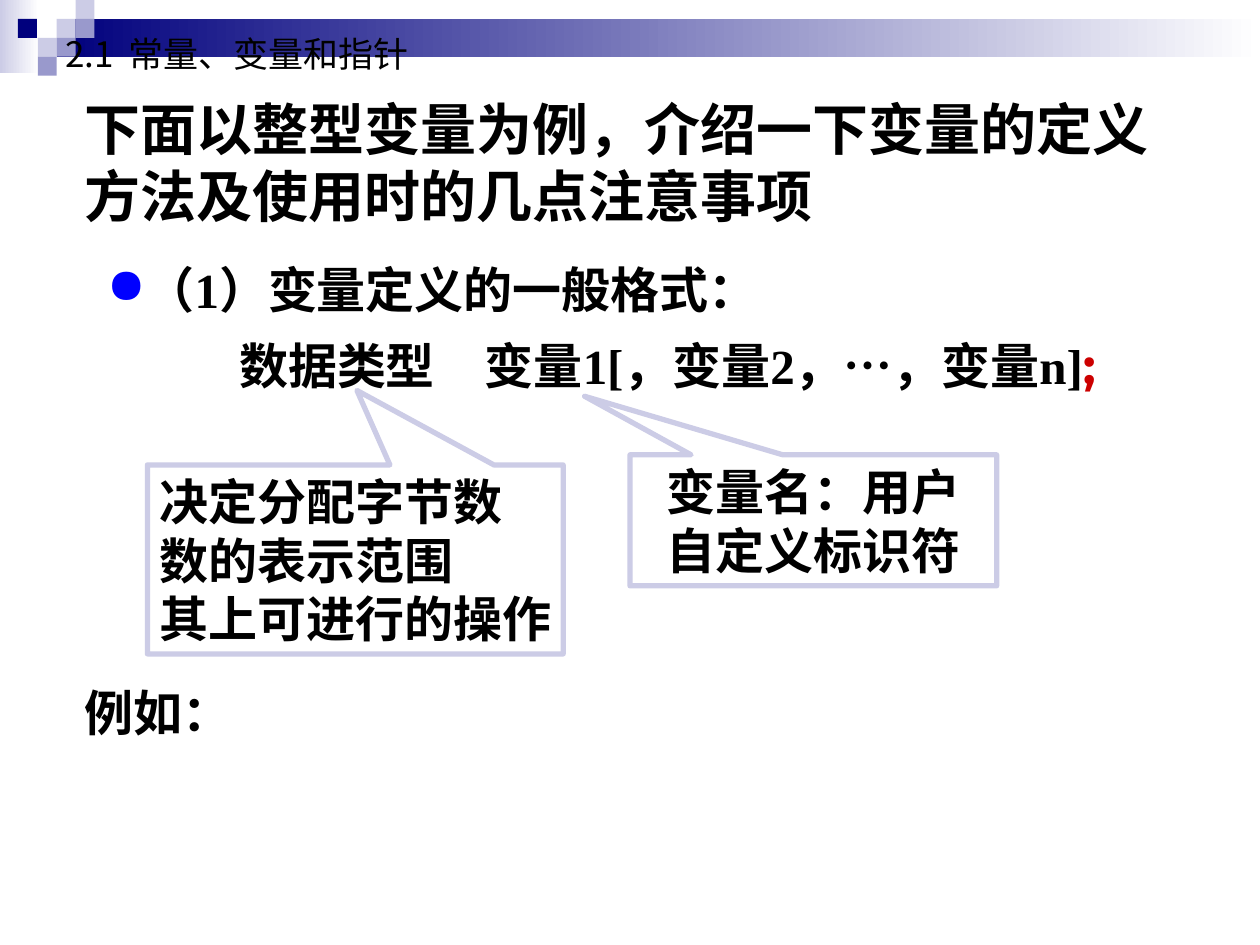
from lxml import etree
from pptx import Presentation
from pptx.dml.color import RGBColor
from pptx.enum.shapes import MSO_SHAPE
from pptx.enum.text import MSO_ANCHOR, PP_ALIGN
from pptx.oxml.ns import qn
from pptx.util import Inches, Pt

RECT = MSO_SHAPE.RECTANGLE
CALLOUT = MSO_SHAPE.RECTANGULAR_CALLOUT
MIDDLE = MSO_ANCHOR.MIDDLE
LEFT, CENTER = PP_ALIGN.LEFT, PP_ALIGN.CENTER
SANS, SERIF, ROMAN, ACCENT = "Noto Sans CJK SC", "Times New Roman", "Arial", "Montserrat"
BLACK, WHITE, NAVY, PALE, MID = "000000", "FFFFFF", "00007D", "CCCCE6", "9999CC"
BLUE, RED = "0000FF", "CC0000"


def color(code):
    return RGBColor.from_string(code)


class Deck:
    def __init__(self):
        self.show = Presentation()
        self.show.slide_width, self.show.slide_height = Inches(10), Inches(7.5)
        self.slide = self.show.slides.add_slide(self.show.slide_layouts[6])

    def shape(self, kind, box):
        item = self.slide.shapes.add_shape(kind, *map(Inches, box))
        item.shadow.inherit = False
        return item

    def block(self, box, fill):
        item = self.shape(RECT, box)
        item.fill.solid()
        item.fill.fore_color.rgb = color(fill)
        item.line.fill.background()

    def fade(self, box, start):
        item = self.shape(RECT, box)
        item.fill.gradient()
        item.fill.gradient_angle = 0
        for stop, code in zip(item.fill.gradient_stops, (start, WHITE)):
            stop.color.rgb = color(code)
        item.line.fill.background()

    def text(self, box, wrap=True):
        frame = self.slide.shapes.add_textbox(*map(Inches, box)).text_frame
        frame.word_wrap = wrap
        return frame

    def callout(self, box, tip, wrap):
        item = self.shape(CALLOUT, box)
        item.adjustments[0], item.adjustments[1] = tip
        item.fill.solid()
        item.fill.fore_color.rgb = color(WHITE)
        item.line.color.rgb = color(PALE)
        item.line.width = Pt(3)
        frame = item.text_frame
        frame.word_wrap = wrap
        frame.vertical_anchor = MIDDLE
        return frame

    def para(self, frame, align=LEFT, space=None):
        para = frame.paragraphs[0]
        if para.runs:
            para = frame.add_paragraph()
        para.alignment = align
        if space:
            para.line_spacing = space
        return para

    def bullet(self, para):
        props = para._p.get_or_add_pPr()
        tint = etree.SubElement(props, qn("a:buClr"))
        etree.SubElement(tint, qn("a:srgbClr"), val=BLUE)
        etree.SubElement(props, qn("a:buChar"), char="●")

    def tab(self, para, stop, indent=0):
        props = para._p.get_or_add_pPr()
        props.set("marL", "0")
        props.set("indent", str(Inches(indent)))
        tabs = etree.SubElement(props, qn("a:tabLst"))
        etree.SubElement(tabs, qn("a:tab"), pos=str(Inches(stop)), algn="l")

    def run(self, para, words, size=28, face=SERIF, tint=BLACK, bold=True):
        run = para.add_run()
        run.text = words
        font = run.font
        font.size, font.name, font.bold = Pt(size), face, bold
        font.color.rgb = color(tint)
        etree.SubElement(run._r.get_or_add_rPr(), qn("a:ea"), typeface=SANS)


def main():
    deck = Deck()
    deck.fade((0, 0, 0.31, 0.58), PALE)
    deck.fade((0.45, 0.15, 9.55, 0.3), NAVY)
    side = 0.15
    for col, row, fill in ((3, 1, PALE), (4, 0, PALE), (4, 1, MID), (2, 2, PALE),
                           (0.95, 1, NAVY), (3, 2, MID), (2, 3, MID)):
        deck.block((col * side, row * side, side, side), fill)

    para = deck.para(deck.text((0.42, 0.21, 3.09, 0.44), False))
    deck.tab(para, 0.58)
    deck.run(para, "2.1\t常量、变量和指针", 20, SANS, bold=False)

    body = deck.text((0.75, 1.87, 9.25, 1.35))
    para = deck.para(body, space=1.3)
    deck.bullet(para)
    deck.run(para, "（1）变量定义的一般格式：")
    para = deck.para(body, space=1.3)
    deck.tab(para, 2.78, 1.05)
    deck.run(para, "数据类型\t变量1[，变量2，…，变量n]")
    deck.run(para, ";", face=ACCENT, tint=RED)

    frame = deck.callout((1.17, 3.69, 3.3, 1.5), (0.004, -0.894), False)
    for words, face in (("决定分配字节数", ROMAN), ("数的表示范围", ROMAN),
                        ("其上可进行的操作", SERIF)):
        deck.run(deck.para(frame), words, face=face)
    frame = deck.callout((5, 3.61, 2.91, 1.04), (-0.624, -0.947), True)
    deck.run(deck.para(frame, CENTER), "变量名：用户自定义标识符", face=ROMAN)

    for box, words, size in (
        ((0.57, 0.7, 8.92, 1.17), "下面以整型变量为例，介绍一下变量的定义方法及使用时的几点注意事项", 32),
        ((0.57, 5.37, 9.08, 0.57), "例如：", 28),
    ):
        deck.run(deck.para(deck.text(box)), words, size)
    deck.show.save("out.pptx")


if __name__ == "__main__":
    main()
